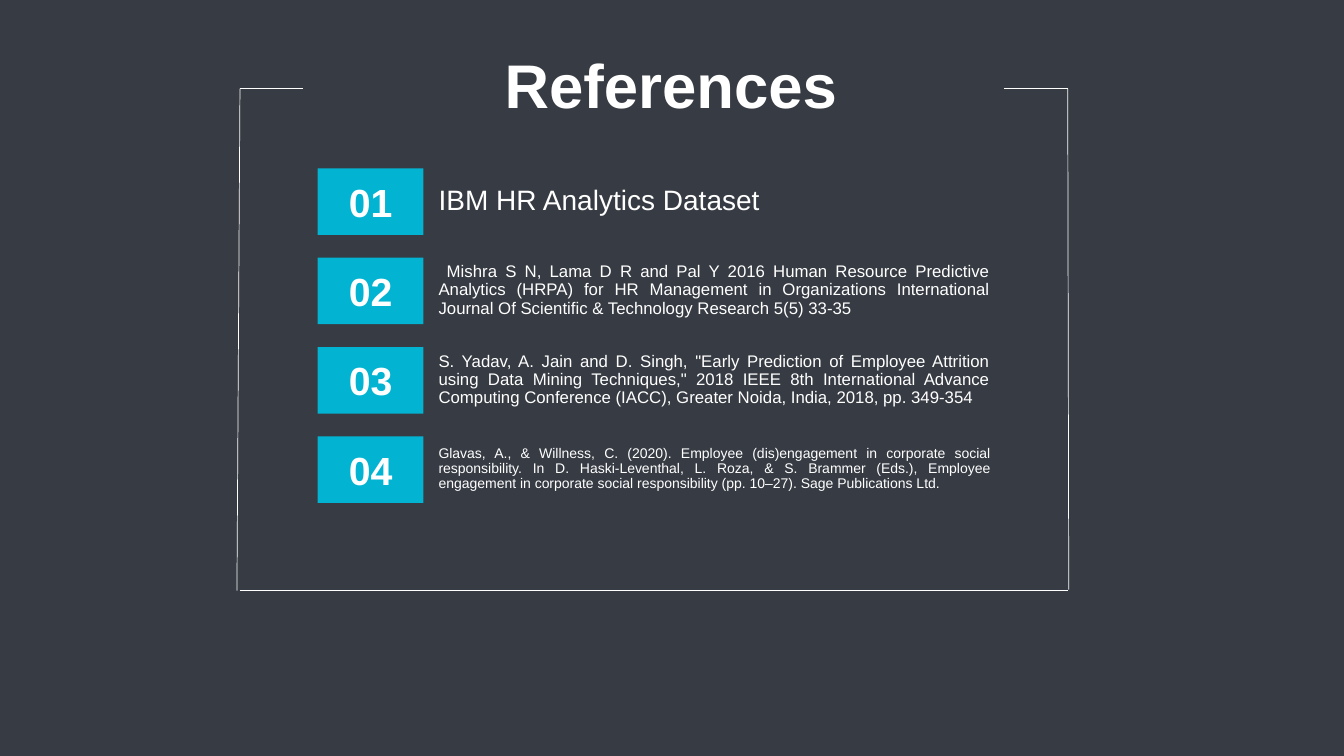
import pptx
import pptx.dml.color
import pptx.enum.shapes
import pptx.enum.text
import pptx.oxml.ns
import pptx.util
from lxml import etree

Inches = pptx.util.Inches
Pt = pptx.util.Pt
Align = pptx.enum.text.PP_ALIGN

REFERENCES = [
    ("IBM HR Analytics Dataset", 20),
    (" Mishra S N, Lama D R and Pal Y 2016 Human Resource Predictive "
     "Analytics (HRPA) for HR Management in Organizations International "
     "Journal Of Scientific & Technology Research 5(5) 33-35", 12),
    ("S. Yadav, A. Jain and D. Singh, \"Early Prediction of Employee Attrition "
     "using Data Mining Techniques,\" 2018 IEEE 8th International Advance "
     "Computing Conference (IACC), Greater Noida, India, 2018, pp. 349-354", 12),
    ("Glavas, A., & Willness, C. (2020). Employee (dis)engagement in corporate "
     "social responsibility. In D. Haski-Leventhal, L. Roza, & S. Brammer "
     "(Eds.), Employee engagement in corporate social responsibility "
     "(pp. 10–27). Sage Publications Ltd.", 10),
]

FRAME_LINES = [
    ((2.38, 0.88), (2.35, 5.86)),
    ((2.38, 5.86), (10.59, 5.86)),
    ((10.59, 0.88), (10.6, 5.85)),
    ((2.38, 0.88), (3.01, 0.88)),
    ((9.96, 0.88), (10.59, 0.88)),
]

ROW_TOP = 1.67
LAST_ROW_TOP = 4.33
ROW_PITCH = (LAST_ROW_TOP - ROW_TOP) / (len(REFERENCES) - 1)


def color(value):
    return pptx.dml.color.RGBColor.from_string(value)


class ReferenceSlide:
    FONT = "Arial"
    BACKGROUND = "373B43"
    ACCENT = "03B4D2"
    LIGHT = "FFFFFF"

    def __init__(self, slide):
        self.slide = slide
        slide.background.fill.solid()
        slide.background.fill.fore_color.rgb = color(self.BACKGROUND)

    def set_text(self, shape, text, size, align, bold=False, spacing=None, inset=0):
        """Fill a shape with one vertically centred paragraph."""
        frame = shape.text_frame
        frame.text = text
        frame.word_wrap = True
        frame.auto_size = pptx.enum.text.MSO_AUTO_SIZE.NONE
        frame.vertical_anchor = pptx.enum.text.MSO_ANCHOR.MIDDLE
        frame.margin_left = frame.margin_right = Inches(2 * inset)
        frame.margin_top = frame.margin_bottom = Inches(inset)
        paragraph = frame.paragraphs[0]
        paragraph.alignment = align
        if spacing:
            paragraph.line_spacing = spacing
        font = paragraph.runs[0].font
        font.name, font.size, font.bold = self.FONT, Pt(size), bold
        font.color.rgb = color(self.LIGHT)

    def title(self, text, left, top, width, height):
        heading = self.slide.shapes.title
        heading.left, heading.top = Inches(left), Inches(top)
        heading.width, heading.height = Inches(width), Inches(height)
        self.set_text(heading, text, 44, Align.CENTER, bold=True, spacing=0.9, inset=0.05)

    def line(self, start, end):
        edge = self.slide.shapes.add_connector(
            pptx.enum.shapes.MSO_CONNECTOR.STRAIGHT,
            *(Inches(value) for value in start + end))
        edge.line.color.rgb = color(self.LIGHT)
        edge.line.width = Pt(0.5)
        etree.SubElement(edge._element.spPr, pptx.oxml.ns.qn("a:effectLst"))

    def number(self, text, top):
        badge = self.slide.shapes.add_shape(
            pptx.enum.shapes.MSO_SHAPE.RECTANGLE,
            Inches(3.15), Inches(top), Inches(1.05), Inches(0.66))
        badge.shadow.inherit = False
        badge.fill.solid()
        badge.fill.fore_color.rgb = color(self.ACCENT)
        badge.line.fill.background()
        self.set_text(badge, text, 28, Align.CENTER, bold=True)

    def citation(self, text, size, top):
        entry = self.slide.shapes.add_textbox(
            Inches(4.35), Inches(top), Inches(5.47), Inches(0.61))
        self.set_text(entry, text, size, Align.JUSTIFY, spacing=0.9)


def main():
    deck = pptx.Presentation()
    deck.slide_width, deck.slide_height = Inches(13.33), Inches(7.5)
    page = ReferenceSlide(deck.slides.add_slide(deck.slide_layouts[5]))
    page.title("References", 3.89, 0.46, 5.53, 0.84)
    for start, end in FRAME_LINES:
        page.line(start, end)
    for index, (text, size) in enumerate(REFERENCES):
        top = ROW_TOP + index * ROW_PITCH
        page.number(f"{index + 1:02d}", top)
        page.citation(text, size, top + 0.02)
    deck.save("out.pptx")


if __name__ == "__main__":
    main()
